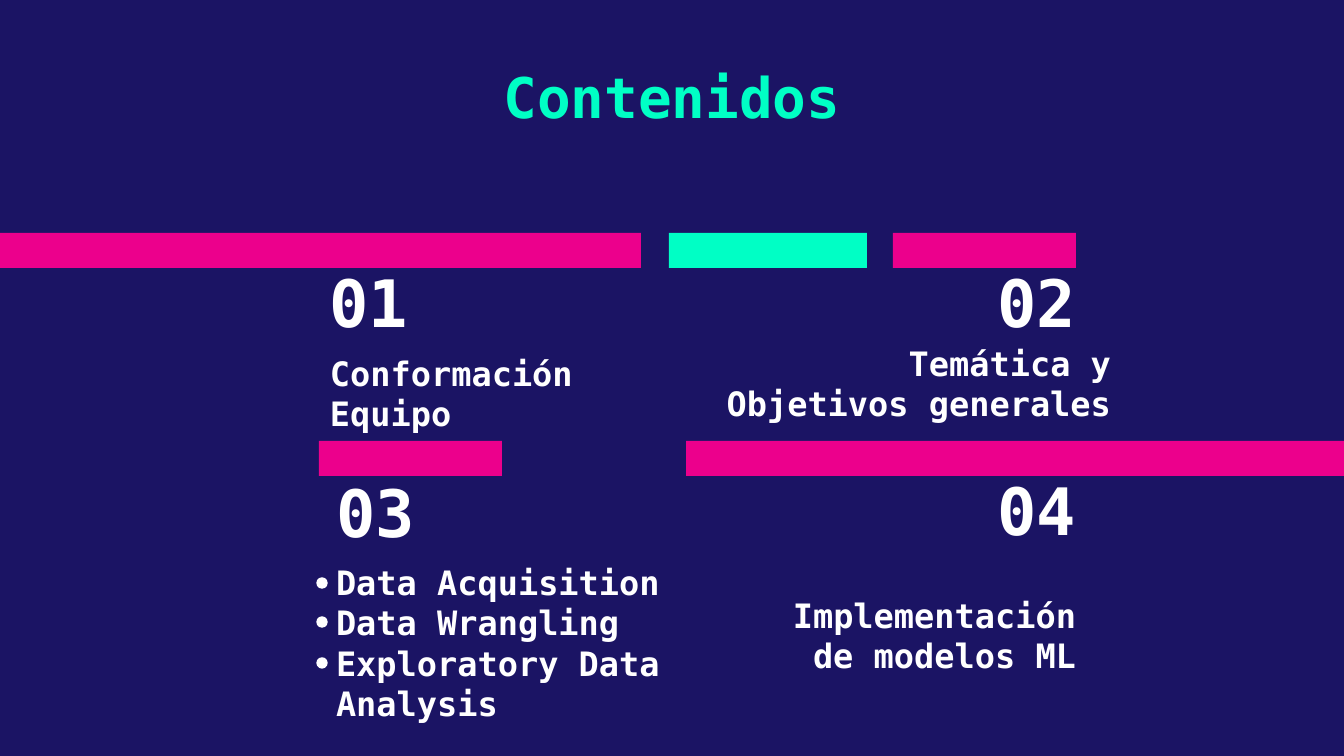
from pptx import Presentation
from pptx import util as u
from pptx.dml.color import RGBColor
from pptx.enum import shapes, text

PX = 914400 / 134.4
FONT = "DejaVu Sans Mono"
COLORS = {"navy": "1B1464", "pink": "EC008C", "mint": "00FFC5", "white": "FFFFFF"}

BAR_HEIGHT = 35
BARS = [
    (0, 233, 641, "pink"),
    (893, 233, 183, "pink"),
    (319, 441, 183, "pink"),
    (686, 441, 658, "pink"),
    (669, 233, 198, "mint"),
]

STYLES = {
    "title": {"size": 30, "color": "mint", "anchor": text.MSO_ANCHOR.TOP, "inset": 13},
    "number": {"size": 35, "color": "white", "anchor": text.MSO_ANCHOR.BOTTOM, "inset": 0},
    "topic": {"size": 18, "color": "white", "anchor": text.MSO_ANCHOR.TOP, "inset": 0},
}
LEFT, CENTER, RIGHT = text.PP_ALIGN.LEFT, text.PP_ALIGN.CENTER, text.PP_ALIGN.RIGHT

TITLE = ("Contenidos", (188, 50, 968, 98))
NUMBER_SIZE = (319, 35)
SECTIONS = [
    ("01", (316, 306), LEFT, ["Conformación Equipo"], (317, 353, 403, 63)),
    ("02", (770, 306), RIGHT, ["Temática y Objetivos generales"], (695, 343, 429, 130)),
    ("03", (323, 516), LEFT,
     ["Data Acquisition", "Data Wrangling", "Exploratory Data Analysis"],
     (323, 562, 417, 63)),
    ("04", (770, 514), RIGHT, ["Implementación de modelos ML"], (770, 595, 319, 63)),
]

DOT_LEFT, DOT_SIZE = 317, 10
DOT_TOPS = [578, 617, 658]


def px(value):
    return u.Emu(round(value * PX))


def color(name):
    return RGBColor.from_string(COLORS[name])


def add_filled(slide, kind, box, fill):
    shape = slide.shapes.add_shape(kind, *map(px, box))
    shape.shadow.inherit = False
    shape.fill.solid()
    shape.fill.fore_color.rgb = color(fill)
    return shape


def add_text(slide, lines, box, style, align):
    values = STYLES[style]
    frame = slide.shapes.add_textbox(*map(px, box)).text_frame
    settings = {
        "word_wrap": True,
        "auto_size": text.MSO_AUTO_SIZE.NONE,
        "vertical_anchor": values["anchor"],
        "margin_left": px(13),
        "margin_right": px(13),
        "margin_top": px(values["inset"]),
        "margin_bottom": px(values["inset"]),
    }
    for name, value in settings.items():
        setattr(frame, name, value)
    frame.text = "\n".join(lines)
    for paragraph in frame.paragraphs:
        paragraph.alignment = align
        font = paragraph.runs[0].font
        for name, value in {"name": FONT, "size": u.Pt(values["size"]), "bold": True}.items():
            setattr(font, name, value)
        font.color.rgb = color(values["color"])


def main():
    presentation = Presentation()
    presentation.slide_width, presentation.slide_height = px(1344), px(756)
    slide = presentation.slides.add_slide(presentation.slide_layouts[6])
    slide.background.fill.solid()
    slide.background.fill.fore_color.rgb = color("navy")

    for left, top, width, fill in BARS:
        bar = add_filled(slide, shapes.MSO_SHAPE.RECTANGLE, (left, top, width, BAR_HEIGHT), fill)
        bar.line.fill.background()

    title, title_box = TITLE
    add_text(slide, [title], title_box, "title", CENTER)
    for number, corner, align, topics, topic_box in SECTIONS:
        add_text(slide, [number], corner + NUMBER_SIZE, "number", align)
        add_text(slide, topics, topic_box, "topic", align)

    for top in DOT_TOPS:
        dot = add_filled(slide, shapes.MSO_SHAPE.OVAL, (DOT_LEFT, top, DOT_SIZE, DOT_SIZE), "white")
        dot.line.color.rgb = color("white")
        dot.line.width = u.Pt(0.75)

    presentation.save("out.pptx")


if __name__ == "__main__":
    main()
